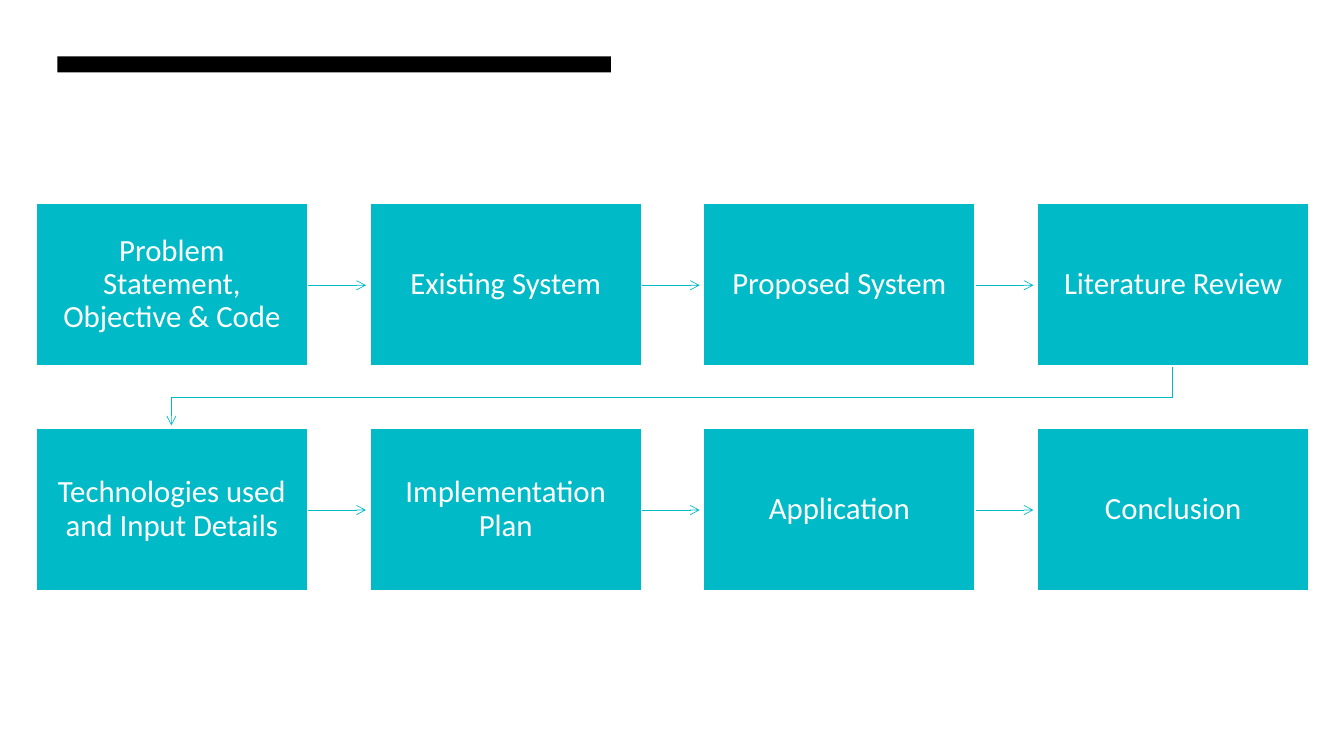
from dataclasses import dataclass

from pptx import Presentation
from pptx.dml.color import RGBColor
from pptx.enum.shapes import MSO_CONNECTOR, MSO_SHAPE
from pptx.enum.text import MSO_ANCHOR, PP_ALIGN
from pptx.oxml.ns import qn
from pptx.util import Pt
from lxml import etree

RECT = MSO_SHAPE.RECTANGLE
STRAIGHT = MSO_CONNECTOR.STRAIGHT
MIDDLE = MSO_ANCHOR.MIDDLE
CENTER = PP_ALIGN.CENTER

PX = 9144
SLIDE_W, SLIDE_H = 1333, 750
LEFT, TOP = 36, 202
BOX_W, BOX_H = 269, 161
STEP_X, STEP_Y = 331, 223
ARROW_LENGTH = 58
TURN_DROP = 31
TURN_GAP = 3

TOPICS = [
    ["Problem Statement, Objective & Code", "Existing System",
     "Proposed System", "Literature Review"],
    ["Technologies used and Input Details", "Implementation Plan",
     "Application", "Conclusion"],
]


@dataclass(frozen=True)
class Theme:
    bar: RGBColor = RGBColor(0x00, 0x00, 0x00)
    accent: RGBColor = RGBColor(0x00, 0xBA, 0xC8)
    light: RGBColor = RGBColor(0xFF, 0xFF, 0xFF)
    font: str = "Calibri"
    body_size: int = 22
    outline: float = 1
    arrow_line: float = 0.5
    inset: int = 17


class Deck:
    def __init__(self, theme):
        self.theme = theme
        self.prs = Presentation()
        self.prs.slide_width = SLIDE_W * PX
        self.prs.slide_height = SLIDE_H * PX
        self.s = self.prs.slides.add_slide(self.prs.slide_layouts[6])

    def rect(self, x, y, w, h, fill):
        sp = self.s.shapes.add_shape(RECT, x * PX, y * PX, w * PX, h * PX)
        sp.shadow.inherit = False
        sp.fill.solid()
        sp.fill.fore_color.rgb = fill
        sp.line.fill.background()
        return sp

    def box(self, x, y, text):
        theme = self.theme
        sp = self.rect(x, y, BOX_W, BOX_H, theme.accent)
        sp.line.color.rgb = theme.light
        sp.line.width = Pt(theme.outline)
        tf = sp.text_frame
        tf.word_wrap = True
        tf.vertical_anchor = MIDDLE
        tf.margin_left = tf.margin_right = theme.inset * PX
        tf.margin_top = tf.margin_bottom = theme.inset * PX
        tf.text = text
        p = tf.paragraphs[0]
        p.alignment = CENTER
        p.line_spacing = 0.9
        r = p.runs[0]
        r.font.name = theme.font
        r.font.size = Pt(theme.body_size)
        r.font.color.rgb = theme.light

    def arrow(self, x, y, length):
        cx = self.s.shapes.add_connector(
            STRAIGHT, x * PX, y * PX, (x + length) * PX, y * PX)
        self.arrow_style(cx)

    def bent_arrow(self, points):
        builder = self.s.shapes.build_freeform(*points[0], scale=PX)
        builder.add_line_segments(points[1:], close=False)
        sp = builder.convert_to_shape()
        sp.fill.background()
        self.arrow_style(sp)

    def arrow_style(self, shape):
        shape.line.color.rgb = self.theme.accent
        shape.line.width = Pt(self.theme.arrow_line)
        sppr = shape._element.spPr
        etree.SubElement(sppr.find(qn("a:ln")), qn("a:tailEnd"), type="arrow")
        etree.SubElement(sppr, qn("a:effectLst"))


def main():
    deck = Deck(Theme())
    deck.rect(57, 56, 549, 16, deck.theme.bar)

    last = len(TOPICS[0]) - 1
    first_mid = LEFT + BOX_W // 2
    last_mid = first_mid + last * STEP_X
    bottom = TOP + BOX_H
    deck.bent_arrow([
        (last_mid, bottom),
        (last_mid, bottom + TURN_DROP),
        (first_mid, bottom + TURN_DROP),
        (first_mid, TOP + STEP_Y - TURN_GAP),
    ])

    for row, topics in enumerate(TOPICS):
        y = TOP + row * STEP_Y
        for col, topic in enumerate(topics):
            x = LEFT + col * STEP_X
            if col < last:
                deck.arrow(x + BOX_W, y + BOX_H // 2 + 1, ARROW_LENGTH)
            deck.box(x, y, topic)

    deck.prs.save("out.pptx")


if __name__ == "__main__":
    main()
